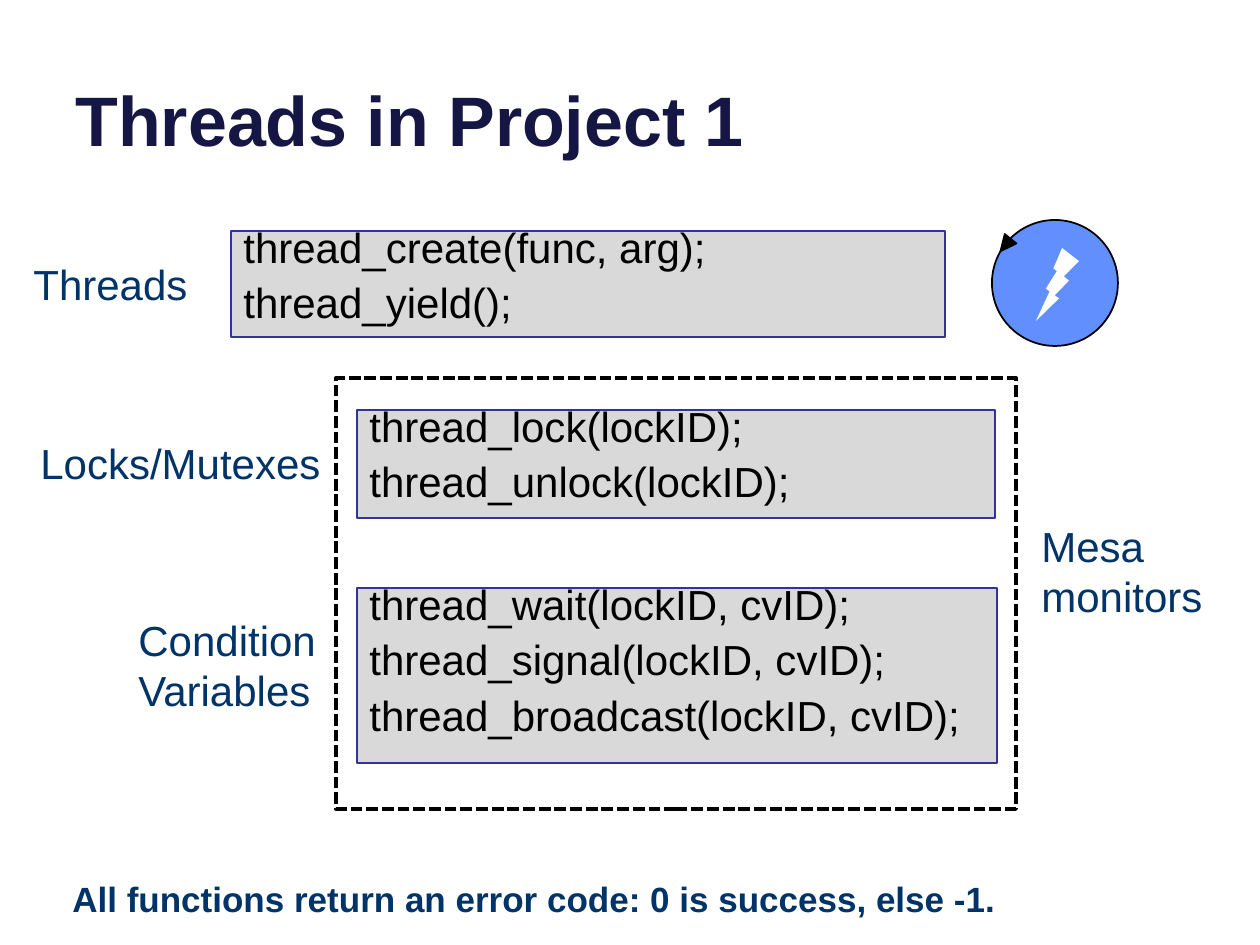
from pptx import Presentation
from pptx.dml.color import RGBColor
from pptx.enum.dml import MSO_LINE
from pptx.enum.shapes import MSO_SHAPE as SHAPE
from pptx.enum.text import MSO_ANCHOR as ANCHOR, PP_ALIGN as ALIGN
from pptx.util import Emu, Pt

COLORS = {"title": "161645", "label": "003367", "code": "000000",
          "panel": "D9D9D9", "border": "333399", "disc": "618FFD",
          "bolt": "FFFFFF", "outline": "000000"}


def px(*lengths):
    return [Emu(round(n * 914400 / 126)) for n in lengths]


def draw(parent, kind, box, fill=None, line=None, weight=1):
    shape = parent.add_shape(kind, *px(*box))
    shape.shadow.inherit = False
    if fill:
        shape.fill.solid()
        shape.fill.fore_color.rgb = RGBColor.from_string(COLORS[fill])
    else:
        shape.fill.background()
    if line:
        shape.line.color.rgb = RGBColor.from_string(COLORS[line])
        shape.line.width = Pt(weight)
    else:
        shape.line.fill.background()
    return shape


prs = Presentation()
prs.slide_width, prs.slide_height = px(1260, 945)
slide = prs.slides.add_slide(prs.slide_layouts[5])

# Title
title = slide.shapes.title
title.left, title.top, title.width, title.height = px(63, -47, 1134, 214)
title.text_frame.text = "Threads in Project 1"
title.text_frame.vertical_anchor = ANCHOR.BOTTOM
heading = title.text_frame.paragraphs[0]
heading.alignment = ALIGN.LEFT
heading.font.name, heading.font.size, heading.font.bold = "Arial", Pt(40), True
heading.font.color.rgb = RGBColor.from_string(COLORS["title"])

# Running thread symbol
thread = slide.shapes.add_group_shape().shapes
draw(thread, SHAPE.OVAL, (992, 220, 126, 126), "disc", "outline")
bolt = draw(thread, SHAPE.LIGHTNING_BOLT, (1036, 248, 43, 73), "bolt")
bolt._element.spPr.find(".//{*}xfrm").set("flipH", "1")
arrowhead = draw(thread, SHAPE.ISOSCELES_TRIANGLE, (998, 237, 15, 16),
                 "outline", "outline")
arrowhead.rotation = 219

# Function panels
panels = [
    ((231, 231, 714, 106), ["thread_create(func, arg);", "thread_yield();"]),
    ((357, 410, 638, 108), ["thread_lock(lockID);", "thread_unlock(lockID);"]),
    ((357, 588, 640, 175), ["thread_wait(lockID, cvID);",
                            "thread_signal(lockID, cvID);",
                            "thread_broadcast(lockID, cvID);"]),
]
for box, calls in panels:
    frame = draw(slide.shapes, SHAPE.RECTANGLE, box, "panel", "border").text_frame
    frame.vertical_anchor = ANCHOR.TOP
    frame.text = "\n".join(calls)
    for number, call in enumerate(frame.paragraphs):
        call.alignment = ALIGN.LEFT
        call.line_spacing = 0.65
        if number:
            call.space_before = Pt(13)
        call.font.name, call.font.size = "Arial", Pt(24)
        call.font.color.rgb = RGBColor.from_string(COLORS["code"])

# Monitor boundary
monitor = draw(slide.shapes, SHAPE.RECTANGLE, (336, 378, 680, 431),
               line="outline", weight=2.25)
monitor.line.dash_style = MSO_LINE.SQUARE_DOT

# Labels and closing remark: text, box, size, bold, wrap
labels = [
    ("Threads", (21, 252, 181, 64), 24, False, False),
    ("Locks/Mutexes", (28, 431, 309, 64), 24, False, False),
    ("Condition Variables", (126, 608, 210, 115), 24, False, True),
    ("Mesa monitors", (1029, 514, 228, 115), 24, False, True),
    ("All functions return an error code: 0 is success, else -1.",
     (60, 871, 1058, 55), 20, True, True),
]
for text, box, size, bold, wrap in labels:
    frame = slide.shapes.add_textbox(*px(*box)).text_frame
    frame.word_wrap = wrap
    frame.text = text
    label = frame.paragraphs[0]
    label.font.name, label.font.size, label.font.bold = "Arial", Pt(size), bold
    label.font.color.rgb = RGBColor.from_string(COLORS["label"])

prs.save("out.pptx")
